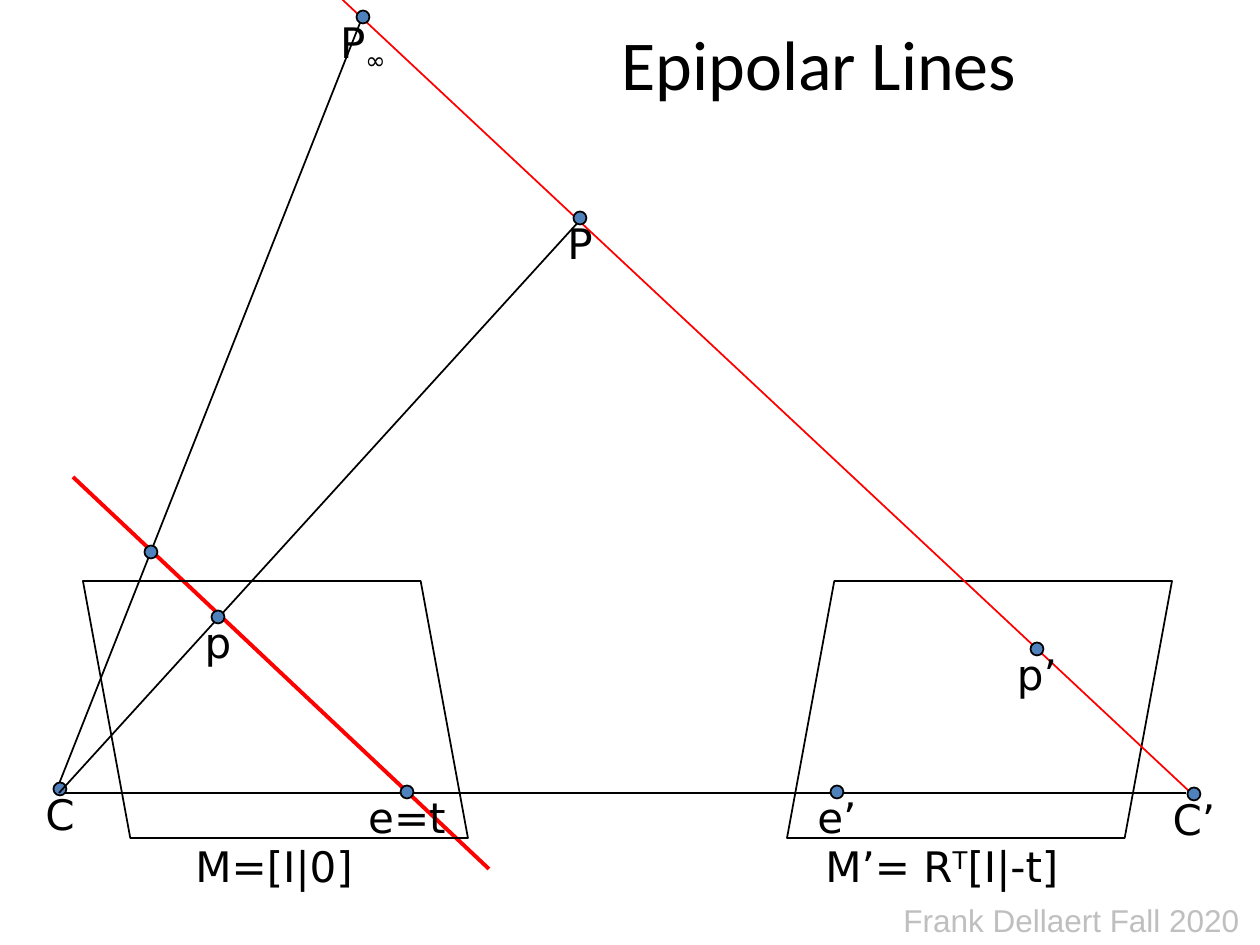
from lxml import etree
from pptx import Presentation
from pptx.dml.color import RGBColor
from pptx.enum.shapes import MSO_CONNECTOR, MSO_SHAPE
from pptx.enum.text import MSO_ANCHOR, PP_ALIGN
from pptx.oxml.ns import qn
from pptx.util import Emu, Pt

STRAIGHT = MSO_CONNECTOR.STRAIGHT
ELLIPSE = MSO_SHAPE.OVAL
PARALLELOGRAM = MSO_SHAPE.PARALLELOGRAM
LEFT, CENTER = PP_ALIGN.LEFT, PP_ALIGN.CENTER
TOP, MIDDLE = MSO_ANCHOR.TOP, MSO_ANCHOR.MIDDLE

COLORS = {"ink": "000000", "epipolar": "FF0000", "point": "4F81BD", "footer": "BFBFBF"}
EMU_PER_PX = 914400 / 126
DOT = 13
LABEL_WIDTH, LABEL_HEIGHT = 100, 49


def px(*lengths):
    return [Emu(round(length * EMU_PER_PX)) for length in lengths]


def color(name):
    return RGBColor.from_string(COLORS[name])


class Diagram:
    def __init__(self, slide, font="DejaVu Sans", size=24):
        self.slide = slide
        self.font = font
        self.size = size

    def style_run(self, run, font=None, size=None, ink="ink", baseline=0):
        run.font.name = font or self.font
        run.font.size = Pt(size or self.size)
        run.font.color.rgb = color(ink)
        if baseline:
            run._r.get_or_add_rPr().set("baseline", str(baseline * 1000))

    def title(self, text, left, top, width, height):
        title = self.slide.shapes.title
        title.left, title.top, title.width, title.height = px(left, top, width, height)
        title.text_frame.text = text
        title.text_frame.vertical_anchor = MIDDLE
        paragraph = title.text_frame.paragraphs[0]
        paragraph.alignment = LEFT
        self.style_run(paragraph.runs[0], font="Calibri", size=40)

    def text(self, parts, left, top, width, height, align=LEFT, inset=True, **style):
        box = self.slide.shapes.add_textbox(*px(left, top, width, height))
        frame = box.text_frame
        frame.word_wrap = False
        frame.vertical_anchor = TOP
        if not inset:
            frame.margin_left = frame.margin_right = 0
            frame.margin_top = frame.margin_bottom = 0
        paragraph = frame.paragraphs[0]
        paragraph.alignment = align
        for words, baseline in parts:
            run = paragraph.add_run()
            run.text = words
            self.style_run(run, baseline=baseline, **style)

    def line(self, start, end, ink="ink", weight=1):
        connector = self.slide.shapes.add_connector(STRAIGHT, *px(*start, *end))
        connector.line.color.rgb = color(ink)
        connector.line.width = Pt(weight)
        etree.SubElement(connector._element.spPr, qn("a:effectLst"))

    def outlined(self, kind, left, top, width, height):
        shape = self.slide.shapes.add_shape(kind, *px(left, top, width, height))
        shape.shadow.inherit = False
        shape.line.color.rgb = color("ink")
        shape.line.width = Pt(1)
        return shape

    def image_plane(self, left, mirrored=False):
        plane = self.outlined(PARALLELOGRAM, left, 581, 385, 257)
        plane.fill.background()
        plane.adjustments[0] = 0.184
        if mirrored:
            plane._element.spPr.xfrm.set("flipH", "1")

    def point(self, x, y, *label):
        dot = self.outlined(ELLIPSE, x - DOT / 2, y - DOT / 2, DOT, DOT)
        dot.fill.solid()
        dot.fill.fore_color.rgb = color("point")
        if label:
            self.text(label, x - LABEL_WIDTH / 2, y, LABEL_WIDTH, LABEL_HEIGHT,
                      align=CENTER, inset=False)


def main():
    presentation = Presentation()
    presentation.slide_width, presentation.slide_height = px(1260, 945)
    slide = presentation.slides.add_slide(presentation.slide_layouts[5])
    diagram = Diagram(slide)

    diagram.text([("Frank Dellaert Fall 2020", 0)], 891, 895, 364, 50,
                 font="Arial", size=18, ink="footer")
    diagram.line((489, 869), (73, 477), "epipolar", 2.25)
    diagram.line((57, 789), (362, 18))
    diagram.title("Epipolar Lines", 609, 0, 588, 126)
    diagram.image_plane(787)
    diagram.image_plane(83, mirrored=True)
    diagram.line((1191, 793), (315, -26), "epipolar")
    diagram.point(1194, 794, ("C’", 0))
    diagram.point(60, 789, ("C", 0))
    diagram.line((1186, 793), (64, 793))
    diagram.point(407, 792, ("e=t", 0))
    diagram.point(837, 792, ("e’", 0))
    diagram.line((582, 218), (59, 793))
    diagram.point(580, 218, ("P", 0))
    diagram.point(218, 617, ("p", 0))
    diagram.point(1037, 649, ("p’", 0))
    diagram.point(363, 17, ("P", 0), ("∞", -25))
    diagram.point(151, 552)
    diagram.text([("M’= R", 0), ("T", 30), ("[I|-t]", 0)], 813, 834, 280, 63)
    diagram.text([("M=[I|0]", 0)], 183, 834, 197, 63)

    presentation.save("out.pptx")


if __name__ == "__main__":
    main()
